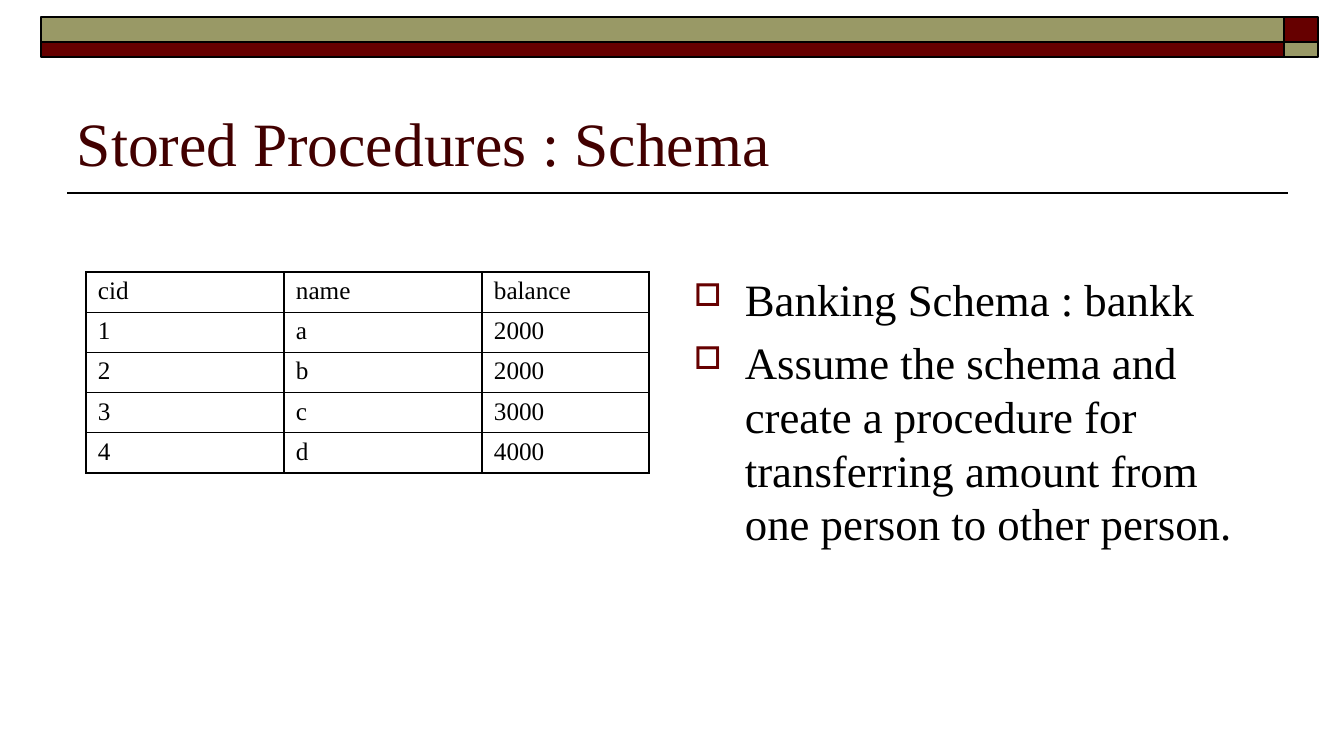
"""Builds the slide on the schema used for stored procedures."""
from lxml import etree
from pptx import Presentation
from pptx.dml.color import RGBColor
from pptx.enum.shapes import MSO_CONNECTOR, MSO_SHAPE
from pptx.enum.text import MSO_ANCHOR
from pptx.oxml import parse_xml
from pptx.oxml.ns import nsdecls, qn
from pptx.util import Emu, Pt

RECT = MSO_SHAPE.RECTANGLE
STRAIGHT = MSO_CONNECTOR.STRAIGHT
BOTTOM = MSO_ANCHOR.BOTTOM
TOP = MSO_ANCHOR.TOP
SCALE = 914400 / 100.8
THEME = {
    "font": "Times New Roman",
    "black": "000000",
    "wine": "660000",
    "olive": "999966",
    "head": "420000",
    "title": 44,
    "body": 32,
    "cell": 18,
}


def px(*vals):
    return [Emu(round(val * SCALE)) for val in vals]


def write(para, text, size, color):
    run = para.add_run()
    run.text = text
    look = {"name": THEME["font"], "size": Pt(THEME[size])}
    for key, val in look.items():
        setattr(run.font, key, val)
    run.font.color.rgb = RGBColor.from_string(THEME[color])


deck = Presentation()
deck.slide_width, deck.slide_height = px(1344, 756)
slide = deck.slides.add_slide(deck.slide_layouts[6])
shapes = slide.shapes

x1, y1, x2, y2 = px(1288, 193, 67, 193)
rule = shapes.add_connector(STRAIGHT, x1, y1, x2, y2)
rule.line.width = Pt(1)
rule.line.color.rgb = RGBColor.from_string(THEME["black"])
etree.SubElement(rule._element.spPr, qn("a:effectLst"))

tones = ("olive", "wine")
for row, (top, high) in enumerate([(17, 25), (42, 15)]):
    for col, (left, wide) in enumerate([(41, 1243), (1284, 34)]):
        bar = shapes.add_shape(RECT, *px(left, top, wide, high))
        bar.shadow.inherit = False
        bar.fill.solid()
        bar.fill.fore_color.rgb = RGBColor.from_string(THEME[tones[(row + col) % 2]])
        bar.line.width = Pt(1)
        bar.line.color.rgb = RGBColor.from_string(THEME["black"])

title = shapes.add_textbox(*px(67, 58, 1210, 126)).text_frame
body = shapes.add_textbox(*px(684, 267, 594, 397)).text_frame
for frame, side in [(title, BOTTOM), (body, TOP)]:
    for key, val in {"word_wrap": True, "vertical_anchor": side}.items():
        setattr(frame, key, val)
write(title.paragraphs[0], "Stored Procedures : Schema", "title", "head")

points = [
    "Banking Schema : bankk",
    "Assume the schema and create a procedure for transferring amount "
    "from one person to other person.",
]
indent, = px(51)
for num, point in enumerate(points):
    para = body.add_paragraph() if num else body.paragraphs[0]
    for key, val in {"space_after": Pt(6.4), "line_spacing": Pt(38.4)}.items():
        setattr(para, key, val)
    props = para._p.get_or_add_pPr()
    for key, val in {"marL": indent, "indent": -indent}.items():
        props.set(key, str(val))
    for mark in (
        f'<a:buClr {nsdecls("a")}><a:srgbClr val="{THEME["wine"]}"/></a:buClr>',
        f'<a:buSzPct {nsdecls("a")} val="70000"/>',
        f'<a:buChar {nsdecls("a")} char="□"/>',
    ):
        props.append(parse_xml(mark))
    write(para, point, "body", "black")

rows = [
    ("cid", "name", "balance"),
    ("1", "a", "2000"),
    ("2", "b", "2000"),
    ("3", "c", "3000"),
    ("4", "d", "4000"),
]
widths = px(198, 198, 167)
grid = shapes.add_table(len(rows), len(widths), *px(86, 272, 563, 200)).table
for key in ("first_row", "horz_banding"):
    setattr(grid, key, False)
for col, wide in zip(grid.columns, widths):
    col.width = wide

pad_x, pad_y = px(12, 5)
pads = {
    "margin_left": pad_x,
    "margin_right": pad_x,
    "margin_top": pad_y,
    "margin_bottom": pad_y,
}
for row, words in enumerate(rows):
    for col, word in enumerate(words):
        cell = grid.cell(row, col)
        for key, val in pads.items():
            setattr(cell, key, val)
        cell.fill.background()
        props = cell._tc.get_or_add_tcPr()
        for num, edge in enumerate("LRTB"):
            props.insert(num, parse_xml(
                f'<a:ln{edge} {nsdecls("a")} w="{Pt(1)}"><a:solidFill>'
                f'<a:srgbClr val="{THEME["black"]}"/></a:solidFill></a:ln{edge}>'
            ))
        write(cell.text_frame.paragraphs[0], word, "cell", "black")

deck.save("out.pptx")
